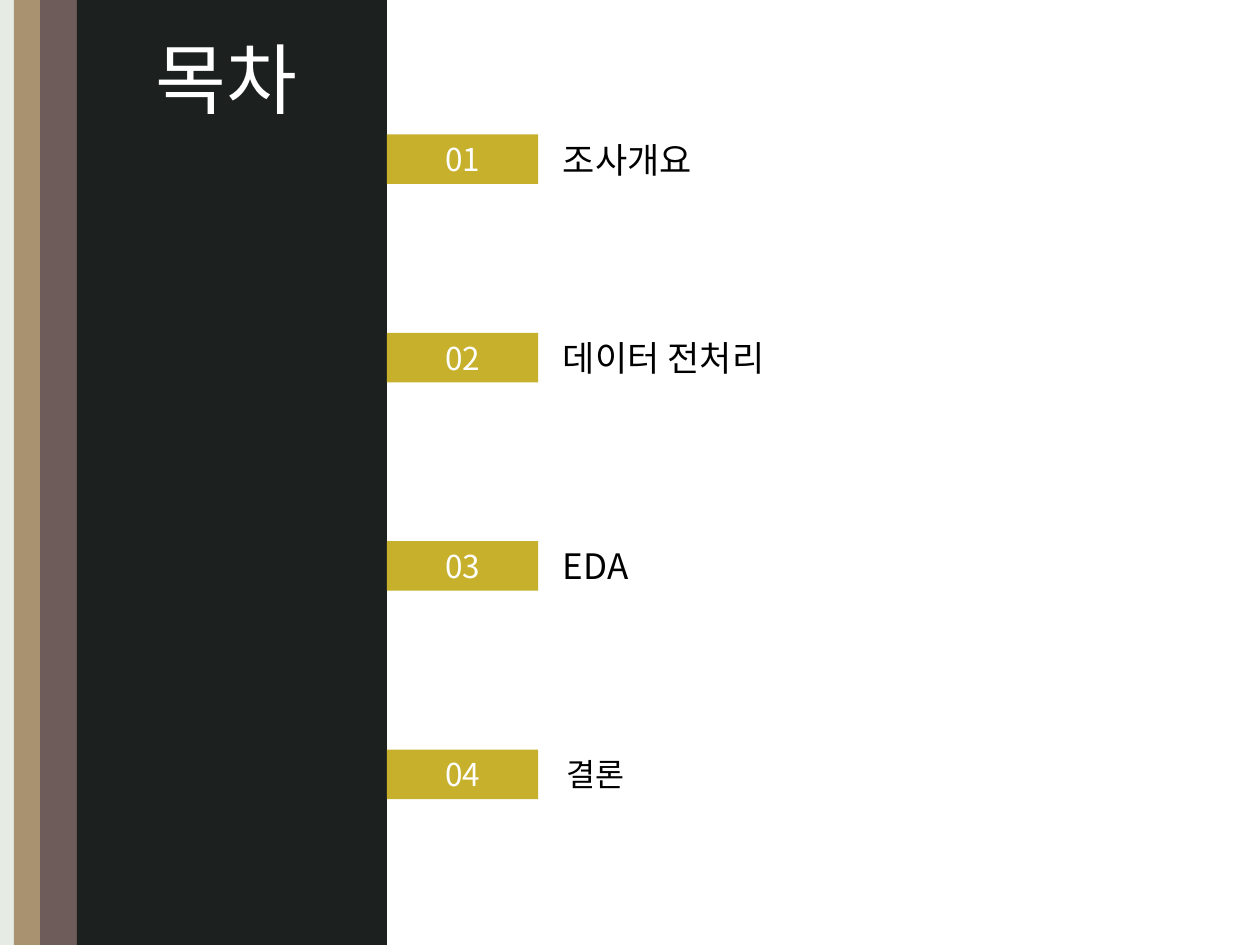
from pptx import Presentation
from pptx.dml.color import RGBColor
from pptx.enum.shapes import MSO_SHAPE
from pptx.enum.text import MSO_ANCHOR, MSO_AUTO_SIZE, PP_ALIGN
from pptx.oxml.ns import qn
from pptx.util import Cm, Pt
from lxml.etree import SubElement

FONT = "Noto Sans CJK KR"
WHITE = RGBColor(0xFF, 0xFF, 0xFF)
BLACK = RGBColor(0x00, 0x00, 0x00)
MIST = RGBColor(0xE6, 0xEB, 0xE4)
SAND = RGBColor(0xA9, 0x92, 0x70)
MAUVE = RGBColor(0x6E, 0x5C, 0x5A)
CHARCOAL = RGBColor(0x1C, 0x20, 0x1F)
GOLD = RGBColor(0xC7, 0xB0, 0x2C)


def write(sp, text, size=20, color=BLACK, align=PP_ALIGN.LEFT, anchor=MSO_ANCHOR.MIDDLE):
    tf = sp.text_frame
    tf.word_wrap = True
    tf.auto_size = MSO_AUTO_SIZE.NONE
    tf.vertical_anchor = anchor
    p = tf.paragraphs[0]
    p.alignment = align
    r = p.add_run()
    r.text = text
    r.font.size = Pt(size)
    r.font.color.rgb = color
    r.font.name = FONT
    SubElement(r.font._element, qn("a:ea"), typeface=FONT)


def add_block(s, left, top, width, height, color):
    sp = s.shapes.add_shape(MSO_SHAPE.RECTANGLE, left, top, width, height)
    sp.shadow.inherit = False
    sp.fill.solid()
    sp.fill.fore_color.rgb = color
    sp.line.fill.background()
    return sp


prs = Presentation()
prs.slide_width = Cm(25.4)
prs.slide_height = Cm(19.05)
s = prs.slides.add_slide(prs.slide_layouts[5])

for left, color in [(0, MIST), (0.28, SAND), (0.81, MAUVE), (1.55, CHARCOAL)]:
    add_block(s, Cm(left), 0, Cm(6.25), prs.slide_height, color)

title = s.shapes.title
title.left, title.top, title.width, title.height = Cm(2), Cm(0.5), Cm(5.13), Cm(2.13)
write(title, "목차", size=44, color=WHITE, align=PP_ALIGN.CENTER, anchor=MSO_ANCHOR.TOP)
s.shapes.element.append(title.element)

sections = [
    ("조사개요", 2.71, 11.1, 20),
    ("데이터 전처리", 6.71, 11.1, 20),
    ("EDA", 10.91, 11.1, 20),
    ("결론", 15.11, 11.18, 18),
]
for number, (name, top, left, size) in enumerate(sections, 1):
    tag = add_block(s, Cm(7.8), Cm(top), Cm(3.05), Cm(1), GOLD)
    write(tag, f"{number:02d}", size=18, color=WHITE, align=PP_ALIGN.CENTER)
    label = s.shapes.add_textbox(Cm(left), Cm(top - 0.06), Cm(11), Cm(1.12))
    write(label, name, size=size)

prs.save("out.pptx")
